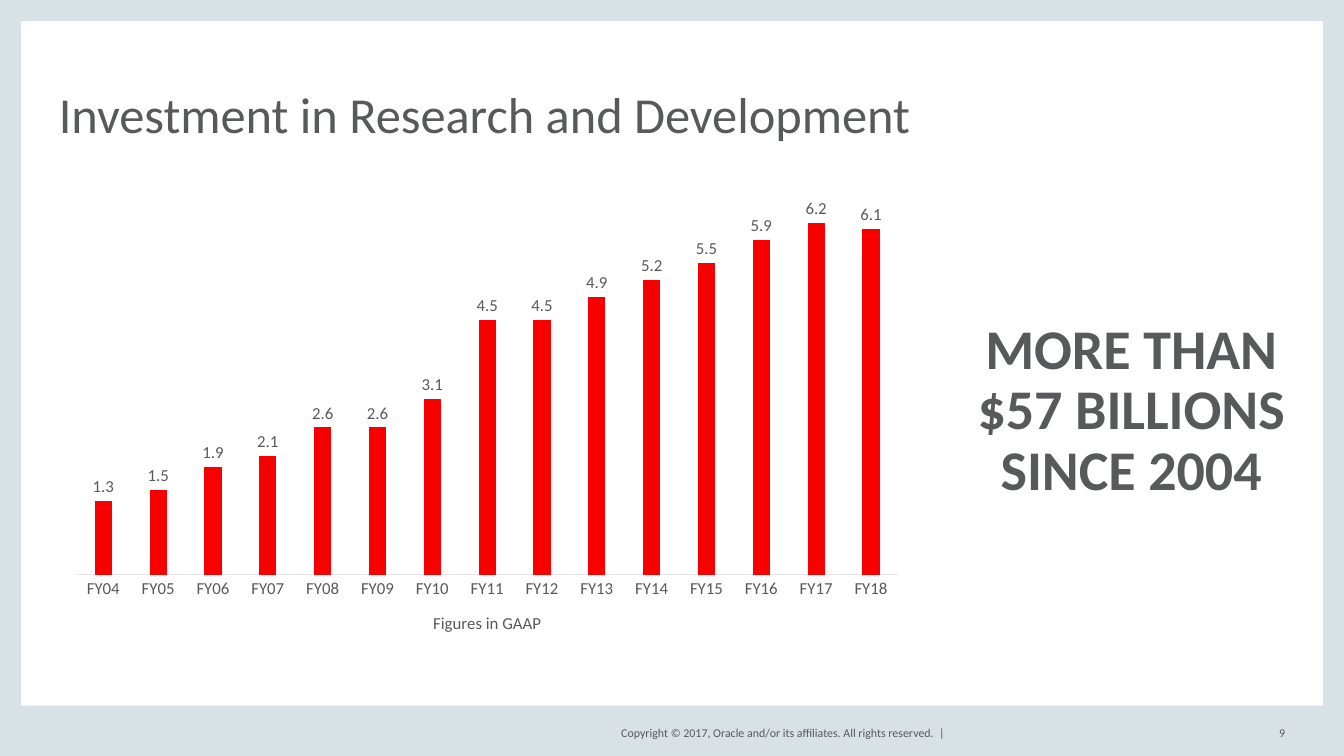
"""Build the research and development investment slide."""
from pptx import Presentation
from pptx.chart.data import CategoryChartData
from pptx.dml.color import RGBColor
from pptx.enum.chart import XL_CHART_TYPE, XL_LABEL_POSITION, XL_TICK_MARK
from pptx.enum.shapes import MSO_SHAPE
from pptx.enum.text import MSO_ANCHOR, PP_ALIGN
from pptx.oxml import parse_xml
from pptx.oxml.ns import nsdecls
from pptx.util import Pt

FRAME = RGBColor(0xD8, 0xE1, 0xE6)
GRAY = RGBColor(0x58, 0x59, 0x5B)
RED = RGBColor(0xF8, 0x00, 0x00)
AXIS_LINE = RGBColor(0xE6, 0xE6, 0xE7)
FONT = "Calibri"
WIDTH, HEIGHT = 960, 540
SIDE, FOOTER = 15, 36


def style(font, size, bold=False):
    font.name = FONT
    font.size = Pt(size)
    font.bold = bold
    font.color.rgb = GRAY


def add_text(text, box, size, anchor, align, spacing=1.0, bold=False, wrap=True):
    frame = slide.shapes.add_textbox(*map(Pt, box)).text_frame
    frame.margin_left = frame.margin_right = frame.margin_top = frame.margin_bottom = 0
    frame.word_wrap = wrap
    frame.vertical_anchor = anchor
    frame.text = text
    paragraph = frame.paragraphs[0]
    paragraph.alignment = align
    paragraph.line_spacing = spacing
    style(paragraph.runs[0].font, size, bold)


prs = Presentation()
prs.slide_width, prs.slide_height = Pt(WIDTH), Pt(HEIGHT)
slide = prs.slides.add_slide(prs.slide_layouts[6])

for band in [
    (0, 0, SIDE, HEIGHT),
    (WIDTH - SIDE, 0, SIDE, HEIGHT),
    (0, HEIGHT - FOOTER, WIDTH, FOOTER),
    (0, 0, WIDTH, SIDE),
]:
    border = slide.shapes.add_shape(MSO_SHAPE.RECTANGLE, *map(Pt, band))
    border.shadow.inherit = False
    border.fill.solid()
    border.fill.fore_color.rgb = FRAME
    border.line.fill.background()

add_text("Investment in Research and Development", (42, 32, 876, 70), 36,
         MSO_ANCHOR.BOTTOM, PP_ALIGN.LEFT, spacing=0.8)

spending = CategoryChartData()
spending.categories = [f"FY{year:02d}" for year in range(4, 19)]
spending.add_series("Series 1", (1.3, 1.5, 1.9, 2.1, 2.6, 2.6, 3.1, 4.5, 4.5,
                                 4.9, 5.2, 5.5, 5.9, 6.2, 6.1))
chart = slide.shapes.add_chart(XL_CHART_TYPE.COLUMN_CLUSTERED, Pt(42), Pt(120),
                               Pt(612), Pt(348), spending).chart
style(chart.font, 10)
chart.has_title = False
chart.has_legend = False

years = chart.category_axis
years.major_tick_mark = years.minor_tick_mark = XL_TICK_MARK.NONE
style(years.tick_labels.font, 12)
years.format.line.color.rgb = AXIS_LINE
years.format.line.width = Pt(0.75)
caption = years.axis_title.text_frame
caption.text = "Figures in GAAP"
style(caption.paragraphs[0].runs[0].font, 12)

amounts = chart.value_axis
amounts.minimum_scale, amounts.maximum_scale = 0, 7
amounts.has_major_gridlines = False
amounts.visible = False

columns = chart.plots[0]
columns.gap_width = 219
columns.overlap = -27
columns.vary_by_categories = False
columns.series[0].format.fill.solid()
columns.series[0].format.fill.fore_color.rgb = RED
columns.has_data_labels = True
labels = columns.data_labels
labels.show_value = True
labels.position = XL_LABEL_POSITION.OUTSIDE_END
style(labels.font, 12)

plot_area = chart.element.chart.plotArea
plot_area.insert(0, parse_xml(
    f'<c:layout {nsdecls("c")}><c:manualLayout><c:layoutTarget val="inner"/>'
    '<c:xMode val="edge"/><c:yMode val="edge"/><c:x val="0.02"/><c:y val="0.02"/>'
    '<c:w val="0.96"/><c:h val="0.815"/></c:manualLayout></c:layout>'))

add_text("MORE THAN $57 BILLIONS SINCE 2004", (691, 120, 234, 348), 40,
         MSO_ANCHOR.MIDDLE, PP_ALIGN.CENTER, spacing=0.9, bold=True)
for footer, left, width in [
    ("Copyright © 2017, Oracle and/or its affiliates. All rights reserved.  |", 423, 252),
    ("9", 892, 26),
]:
    add_text(footer, (left, 516, width, 15), 8.5, MSO_ANCHOR.MIDDLE, PP_ALIGN.RIGHT,
             wrap=False)

prs.save("out.pptx")
